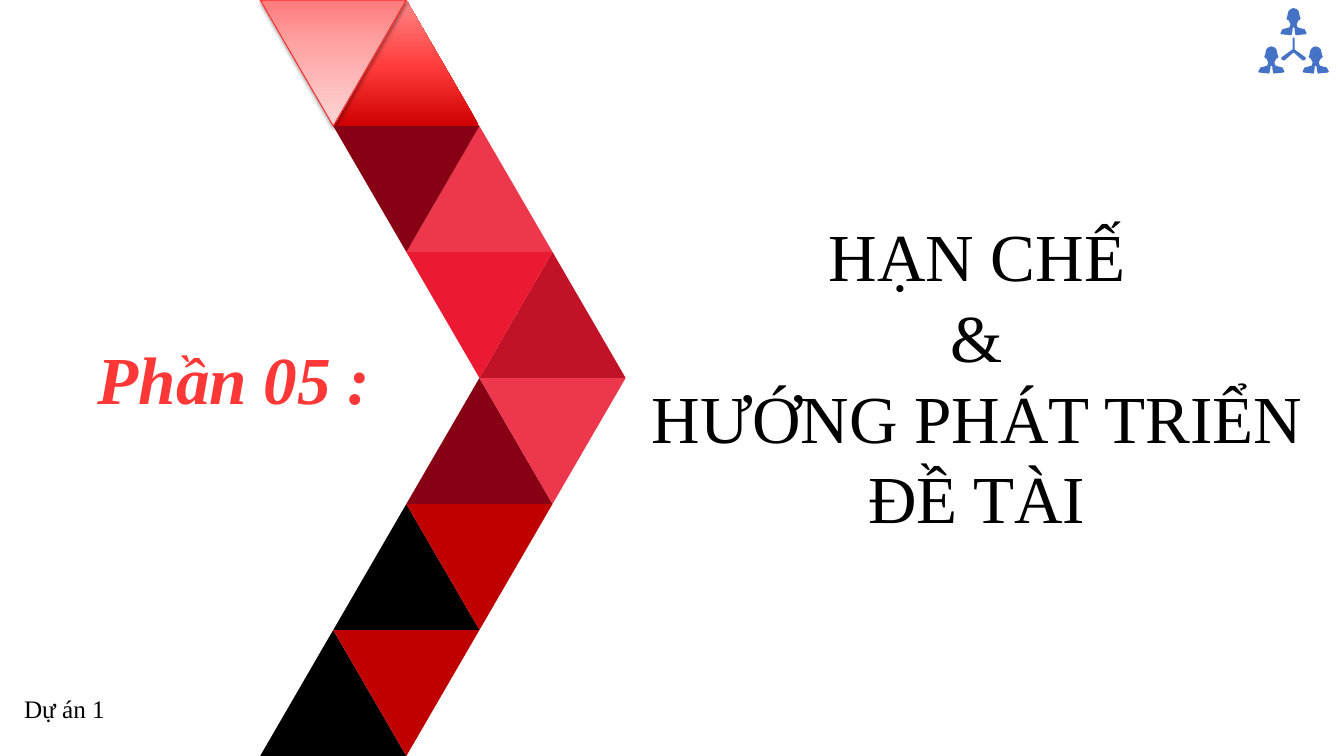
"""Section slide: a chevron of triangles between the part number and its title."""
from copy import deepcopy

from lxml import etree
from pptx import Presentation
from pptx.dml.color import RGBColor
from pptx.enum.shapes import MSO_SHAPE
from pptx.enum.text import MSO_ANCHOR, MSO_AUTO_SIZE, PP_ALIGN
from pptx.oxml.ns import qn
from pptx.util import Inches, Pt

TRIANGLE = MSO_SHAPE.ISOSCELES_TRIANGLE
LEFT, CENTER = PP_ALIGN.LEFT, PP_ALIGN.CENTER
TOP = MSO_ANCHOR.TOP
NO_AUTOFIT = MSO_AUTO_SIZE.NONE
FONT = "Times New Roman"
COLORS = {
    "black": "000000", "maroon": "880014", "rose": "ED374D", "scarlet": "EB1932",
    "crimson": "C21227", "red": "C00000", "part": "FF3737", "edge": "FD3030", "icon": "4472C4",
}
GRADIENTS = {
    "deep": [(0, "CF0000"), (0.48, "FF3C3C"), (1, "FF8787")],
    "pale": [(0, "FF7A7B"), (0.35, "FFA3A3"), (1, "FFD6D6")],
}


def write_text(holder, text, size, color="black", bold=False, italic=False, align=LEFT):
    frame = holder.text_frame
    frame.word_wrap = True
    frame.auto_size = NO_AUTOFIT
    frame.vertical_anchor = TOP
    frame.text = text
    for paragraph in frame.paragraphs:
        paragraph.alignment = align
        paragraph.line_spacing = 1.0
        font = paragraph.runs[0].font
        font.name, font.size, font.bold, font.italic = FONT, Pt(size), bold, italic
        font.color.rgb = RGBColor.from_string(COLORS[color])


def mirrored_points(half, center_x, top):
    right = [(center_x + dx, top + dy) for dx, dy in half]
    left = [(center_x - dx, top + dy) for dx, dy in reversed(half)]
    return [(Inches(x), Inches(y)) for x, y in right + left]


deck = Presentation()
deck.slide_width, deck.slide_height = Inches(13.33), Inches(7.5)
slide = deck.slides.add_slide(deck.slide_layouts[5])
shapes = slide.shapes

ROW_HEIGHT, SIDE, CHEVRON_LEFT = 1.25, 1.45, 2.58
chevron_rows = [
    ((1, "deep"), (0, "pale")),
    ((2, "rose"), (1, "maroon")),
    ((3, "crimson"), (2, "scarlet")),
    ((2, "maroon"), (3, "rose")),
    ((1, "black"), (2, "red")),
    ((0, "black"), (1, "red")),
]
for row, pair in enumerate(chevron_rows):
    for (half_steps, tone), rotation in zip(pair, (0, 180)):
        triangle = shapes.add_shape(
            TRIANGLE, Inches(CHEVRON_LEFT + half_steps * SIDE / 2), Inches(row * ROW_HEIGHT),
            Inches(SIDE), Inches(ROW_HEIGHT))
        triangle.rotation = rotation
        triangle.shadow.inherit = False
        triangle.line.fill.background()
        if tone in COLORS:
            triangle.fill.solid()
            triangle.fill.fore_color.rgb = RGBColor.from_string(COLORS[tone])
            continue
        triangle.fill.gradient()
        triangle.fill.gradient_angle = 90
        stop_list = triangle._element.spPr.find(".//" + qn("a:gsLst"))
        stop_list.append(deepcopy(stop_list[0]))
        for stop, (position, color) in zip(triangle.fill.gradient_stops, GRADIENTS[tone]):
            stop.position = position
            stop.color.rgb = RGBColor.from_string(color)
        if tone == "pale":
            triangle.line.color.rgb = RGBColor.from_string(COLORS["edge"])
            triangle.line.width = Pt(0.75)
            effects = triangle._element.spPr.find(qn("a:effectLst"))
            shadow = etree.SubElement(
                effects, qn("a:outerShdw"), blurRad=str(Pt(3.1)), dist=str(Pt(1.6)),
                dir="5400000", rotWithShape="0")
            shadow_color = etree.SubElement(shadow, qn("a:srgbClr"), val=COLORS["black"])
            etree.SubElement(shadow_color, qn("a:alpha"), val="38000")

part_number = shapes.add_textbox(Inches(0.87), Inches(3.3), Inches(4.12), Inches(0.9))
write_text(part_number, "Phần 05 :", size=48, color="part", bold=True, italic=True)

part_title = shapes.title
part_title.left, part_title.top = Inches(6.19), Inches(2.08)
part_title.width, part_title.height = Inches(7), Inches(3.33)
write_text(part_title, "HẠN CHẾ\n&\nHƯỚNG PHÁT TRIỂN\nĐỀ TÀI", size=48, align=CENTER)

half_person = [
    (0, 0), (0.03, 0.01), (0.05, 0.03), (0.06, 0.07), (0.06, 0.08), (0.07, 0.1), (0.06, 0.12),
    (0.05, 0.12), (0.03, 0.16), (0.04, 0.19), (0.07, 0.2), (0.11, 0.21), (0.13, 0.25),
    (0.12, 0.26), (0.02, 0.27), (0.01, 0.22), (0.01, 0.2), (0, 0.19),
]
half_link = [
    (0, 0), (0.01, 0.01), (0.01, 0.12), (0.12, 0.2), (0.12, 0.22), (0.1, 0.23), (0.09, 0.23),
    (0, 0.15),
]
team_outlines = [
    mirrored_points(half_person, 12.83, 0.08),
    mirrored_points(half_person, 12.61, 0.46),
    mirrored_points(half_person, 13.05, 0.46),
    mirrored_points(half_link, 12.83, 0.37),
]
team_builder = shapes.build_freeform(*team_outlines[0][0])
for outline in team_outlines:
    if outline is not team_outlines[0]:
        team_builder.move_to(*outline[0])
    team_builder.add_line_segments(outline[1:], close=True)
team_icon = team_builder.convert_to_shape()
team_icon.shadow.inherit = False
team_icon.fill.solid()
team_icon.fill.fore_color.rgb = RGBColor.from_string(COLORS["icon"])
team_icon.line.fill.background()

project_label = shapes.add_textbox(Inches(0.14), Inches(6.83), Inches(2.83), Inches(0.4))
write_text(project_label, "Dự án 1", size=18)

deck.save("out.pptx")
